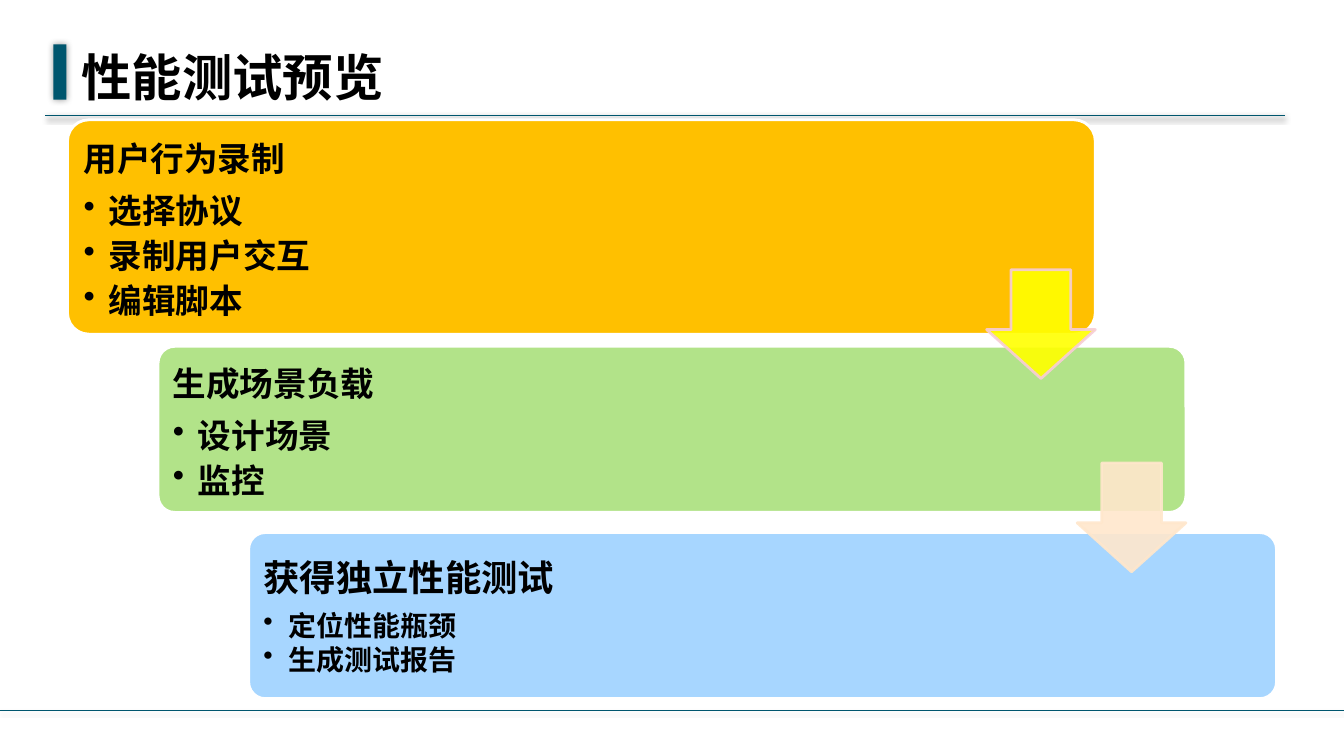
from lxml import etree
from pptx import Presentation
from pptx import util as u
from pptx.dml.color import RGBColor
from pptx.enum import shapes, text
from pptx.oxml import ns

FONT = "Noto Sans CJK SC"
SLIDE_W, SLIDE_H = 13.35, 7.5
COLORS = {
    "teal": "00566E", "ink": "000000", "white": "FFFFFF",
    "record": "FFC000", "load": "B2E389", "result": "A7D6FF",
    "yellow": "FFFF00", "pink": "F7CCD7", "peach": "FFE7CC",
}
CARD_LEFT, CARD_STEP, CARD_W = 0.67, 0.9, 10.21
STAGES = [
    dict(top=1.19, height=2.13, fill="record", heading="用户行为录制",
         items=["选择协议", "录制用户交互", "编辑脚本"], sizes=(24, 24), leading=1.19),
    dict(top=3.44, height=1.65, fill="load", heading="生成场景负载",
         items=["设计场景", "监控"], sizes=(24, 24), leading=1.19),
    dict(top=5.29, height=1.65, fill="result", heading="获得独立性能测试",
         items=["定位性能瓶颈", "生成测试报告"], sizes=(26, 20), leading=1.07),
]
ARROWS = [(2.68, "yellow", "pink"), (4.6, "peach", "peach")]
ARROW_LEFT, ARROW_SIZE = 9.8, 1.08


def rgb(name):
    """Look up a named colour."""
    return RGBColor.from_string(COLORS[name])


def add_child(parent, tag, **attributes):
    """Append a DrawingML element and return it."""
    return etree.SubElement(parent, ns.qn(f"a:{tag}"), attributes)


def add_shadow(shape, opacity, blur, distance, direction):
    """Give a shape or connector an outer shadow."""
    effects = add_child(shape._element.spPr, "effectLst")
    outer = add_child(effects, "outerShdw", blurRad=str(u.Pt(blur)), dist=str(u.Pt(distance)),
                      dir=str(direction * 60000), rotWithShape="0")
    color = add_child(outer, "srgbClr", val=COLORS["ink"])
    add_child(color, "alpha", val=str(opacity * 1000))


def style_paragraph(paragraph, size):
    """Set the bold black type used throughout."""
    paragraph.alignment = text.PP_ALIGN.LEFT
    font = paragraph.font
    font.size, font.bold, font.name = u.Pt(size), True, FONT
    font.color.rgb = rgb("ink")
    add_child(font._element, "ea", typeface=FONT)


def add_box(slide, preset, box, fill, line=None):
    """Add a filled preset shape with an optional two-point outline."""
    shape = slide.shapes.add_shape(preset, *map(u.Inches, box))
    shape.fill.solid()
    shape.fill.fore_color.rgb = rgb(fill)
    if line:
        shape.line.color.rgb = rgb(line)
        shape.line.width = u.Pt(2)
    else:
        shape.line.fill.background()
    return shape


def add_rule(slide, left, right, y):
    """Draw a thin horizontal rule."""
    rule = slide.shapes.add_connector(
        shapes.MSO_CONNECTOR.STRAIGHT, *map(u.Inches, (left, y, right, y)))
    rule.line.color.rgb = rgb("teal")
    rule.line.width = u.Pt(1)
    return rule


def add_header(slide, box):
    """Place the title, its accent bar and the rule below them."""
    left, top, width, height = box
    add_shadow(add_rule(slide, left, left + width, top + height), 42, 4, 1.6, 90)
    accent = add_box(slide, shapes.MSO_SHAPE.RECTANGLE, (left + 0.08, top, 0.13, 0.55), "teal")
    add_shadow(accent, 40, 5, 0, 0)

    title = slide.shapes.title
    title.left, title.top, title.width, title.height = map(
        u.Inches, (left + 0.24, top, 9.05, 0.63))
    frame = title.text_frame
    frame.text = "性能测试预览"
    frame.auto_size = text.MSO_AUTO_SIZE.NONE
    frame.vertical_anchor = text.MSO_ANCHOR.MIDDLE
    frame.margin_left = frame.margin_right = u.Inches(0.12)
    frame.margin_top = frame.margin_bottom = u.Inches(0.06)
    style_paragraph(frame.paragraphs[0], 36)


def add_stage(slide, box, stage):
    """Place one stage card with its heading and bullets."""
    card = add_box(slide, shapes.MSO_SHAPE.ROUNDED_RECTANGLE, box, stage["fill"], "white")
    card.shadow.inherit = False
    card.adjustments[0] = 0.1
    frame = card.text_frame
    frame.word_wrap = True
    frame.vertical_anchor = text.MSO_ANCHOR.MIDDLE
    frame.margin_left = frame.margin_right = frame.margin_bottom = u.Inches(0.1)
    frame.margin_top = u.Inches(0.15)

    heading_size, item_size = stage["sizes"]
    for index, wording in enumerate([stage["heading"], *stage["items"]]):
        paragraph = frame.add_paragraph() if index else frame.paragraphs[0]
        paragraph.text = wording
        size, gap = (item_size, 0.15) if index else (heading_size, 0.35)
        paragraph.line_spacing = u.Pt(size * stage["leading"])
        paragraph.space_after = u.Pt(size * gap)
        if index:
            paragraph.level = 1
            properties = paragraph._p.get_or_add_pPr()
            properties.set("marL", str(u.Inches(0.25)))
            properties.set("indent", str(u.Inches(-0.25)))
            add_child(properties, "buChar", char="•")
        style_paragraph(paragraph, size)


def add_arrow(slide, box, fill, line):
    """Place a slightly transparent arrow between two stages."""
    arrow = add_box(slide, shapes.MSO_SHAPE.DOWN_ARROW, box, fill, line)
    arrow.shadow.inherit = False
    arrow.adjustments[0], arrow.adjustments[1] = 0.55, 0.45
    for color in arrow._element.spPr.iter(ns.qn("a:srgbClr")):
        add_child(color, "alpha", val="90000")


def main():
    """Build and save the slide."""
    deck = Presentation()
    deck.slide_width, deck.slide_height = u.Inches(SLIDE_W), u.Inches(SLIDE_H)
    slide = deck.slides.add_slide(deck.slide_layouts[5])
    add_header(slide, (0.45, 0.44, 12.31, 0.71))
    add_rule(slide, 0, SLIDE_W, 7.06)
    for step, stage in enumerate(STAGES):
        box = (CARD_LEFT + step * CARD_STEP, stage["top"], CARD_W, stage["height"])
        add_stage(slide, box, stage)
    for step, (top, fill, line) in enumerate(ARROWS):
        box = (ARROW_LEFT + step * CARD_STEP, top, ARROW_SIZE, ARROW_SIZE)
        add_arrow(slide, box, fill, line)
    deck.save("out.pptx")


if __name__ == "__main__":
    main()
